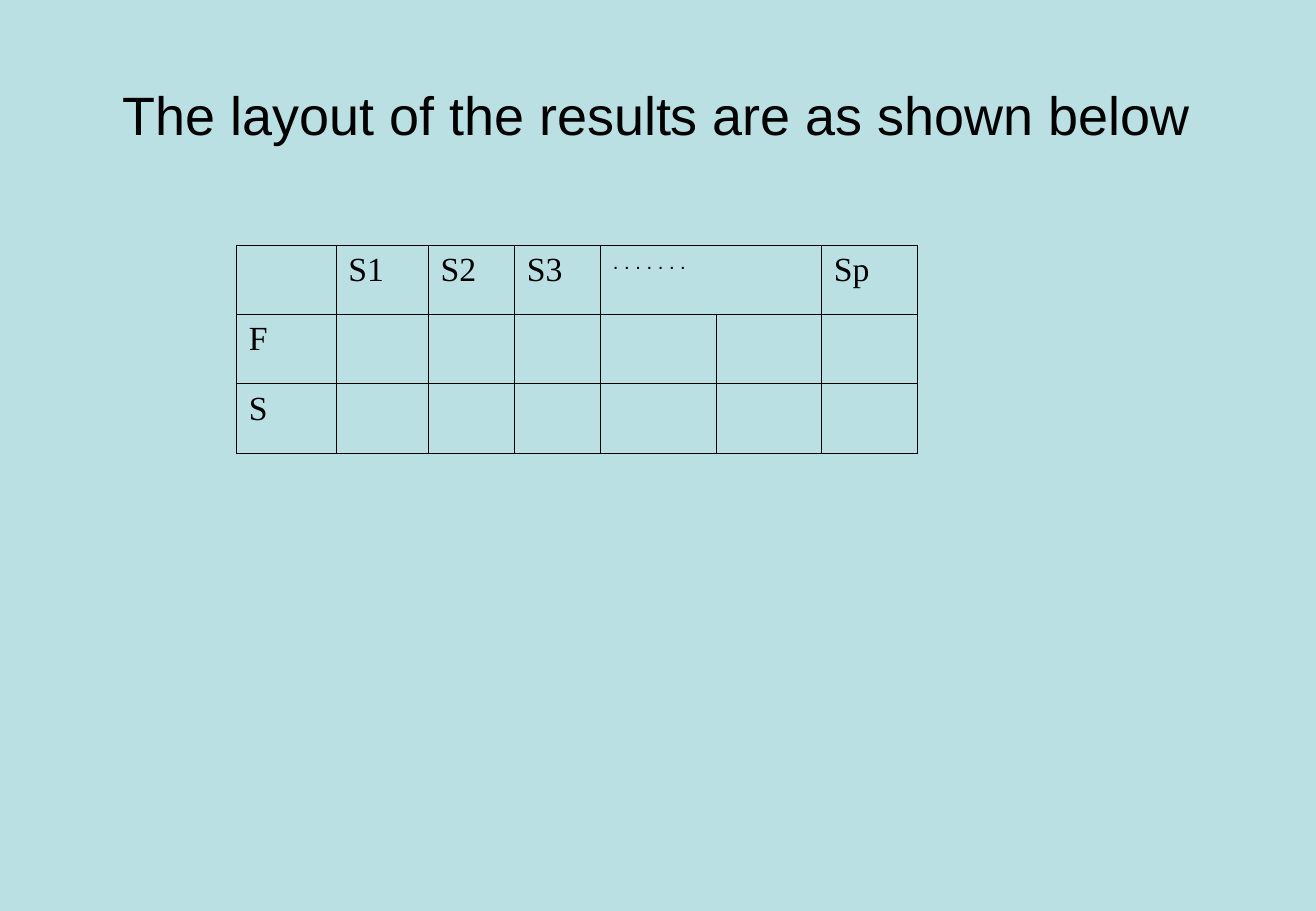
from pptx import Presentation
from pptx.dml.color import RGBColor
from pptx.enum.text import MSO_ANCHOR, MSO_AUTO_SIZE, PP_ALIGN
from pptx.oxml.ns import qn
from pptx.util import Inches, Pt
from lxml.etree import SubElement

COLOURS = {"background": "BBE0E3", "ink": "000000"}
COLUMN_WIDTHS = [0.82, 0.76, 0.71, 0.71, 0.95, 0.87, 0.79]
ROW_HEIGHT = 0.57
RESULTS = [
    ["", "S1", "S2", "S3", ". . . . . . .", "", "Sp"],
    ["F", "", "", "", "", "", ""],
    ["S", "", "", "", "", "", ""],
]


class SlideBuilder:
    def __init__(self, deck):
        self.page = deck.slides.add_slide(deck.slide_layouts[5])
        fill = self.page.background.fill
        fill.solid()
        fill.fore_color.rgb = RGBColor.from_string(COLOURS["background"])

    def add_span(self, para, text, size, font):
        span = para.add_run()
        span.text = text
        span.font.size = Pt(size)
        span.font.name = font
        span.font.color.rgb = RGBColor.from_string(COLOURS["ink"])

    def title(self, text, left, top, width, height):
        box = self.page.shapes.title
        box.left, box.top = Inches(left), Inches(top)
        box.width, box.height = Inches(width), Inches(height)
        frame = box.text_frame
        frame.word_wrap = True
        frame.auto_size = MSO_AUTO_SIZE.NONE
        frame.vertical_anchor = MSO_ANCHOR.TOP
        frame.margin_left = Inches(0.48)
        para = frame.paragraphs[0]
        para.alignment = PP_ALIGN.LEFT
        para.space_before = Pt(8)
        para.line_spacing = 0.9
        self.add_span(para, text, 32, "Arial")

    def border(self, cell):
        properties = cell._tc.get_or_add_tcPr()
        for side in ("a:lnL", "a:lnR", "a:lnT", "a:lnB"):
            line = SubElement(properties, qn(side), w=str(Pt(0.45)))
            paint = SubElement(line, qn("a:solidFill"))
            SubElement(paint, qn("a:srgbClr"), val=COLOURS["ink"])

    def table(self, rows, left, top):
        frame = self.page.shapes.add_table(
            len(rows), len(COLUMN_WIDTHS), Inches(left), Inches(top),
            Inches(sum(COLUMN_WIDTHS)), Inches(ROW_HEIGHT * len(rows)))
        table = frame.table
        table.first_row = False
        table.horz_banding = False
        for column, width in zip(table.columns, COLUMN_WIDTHS):
            column.width = Inches(width)
        for row, texts in zip(table.rows, rows):
            row.height = Inches(ROW_HEIGHT)
            for cell, text in zip(row.cells, texts):
                self.border(cell)
                cell.fill.background()
                if text:
                    size, font = (12, "Arial") if text.startswith(".") else (20, "Times New Roman")
                    self.add_span(cell.text_frame.paragraphs[0], text, size, font)
        table.cell(0, 4).merge(table.cell(0, 5))


def main():
    deck = Presentation()
    deck.slide_width, deck.slide_height = Inches(10.84), Inches(7.5)
    builder = SlideBuilder(deck)
    builder.title("The layout of the results are as shown below", 0.53, 0.68, 9.75, 4.95)
    builder.table(RESULTS, 1.95, 2.02)
    deck.save("out.pptx")


if __name__ == "__main__":
    main()
